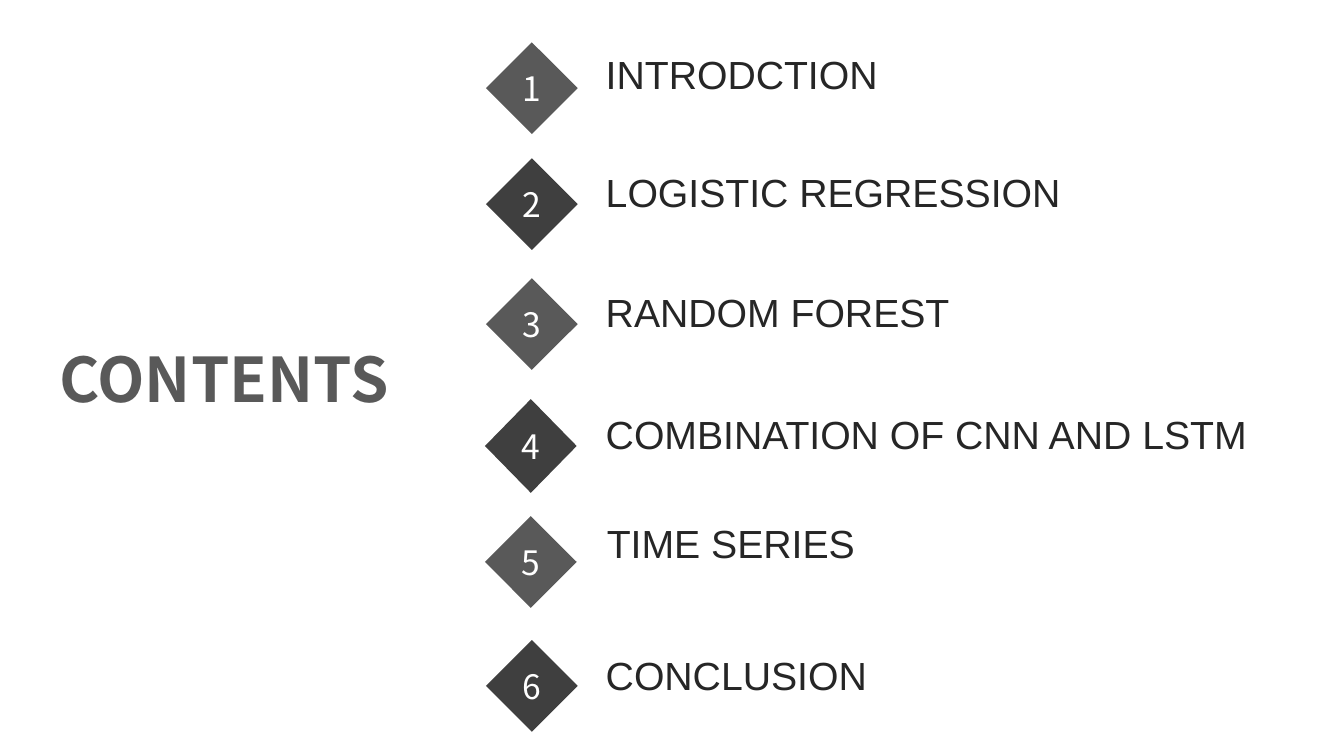
from pptx import Presentation, util as u
from pptx.dml.color import RGBColor
from pptx.enum import shapes, text

TOPICS = [
    ("INTRODCTION", 4.82, 0.42, 0.91, 5.91, 0.45, 3.03),
    ("LOGISTIC REGRESSION", 4.82, 1.57, 0.91, 5.91, 1.62, 4.76),
    ("RANDOM FOREST", 4.82, 2.76, 0.91, 5.91, 2.81, 3.8),
    ("COMBINATION OF CNN AND LSTM", 4.81, 3.96, 0.93, 5.91, 4.02, 6.67),
    ("TIME SERIES", 4.81, 5.12, 0.91, 5.92, 5.1, 3.03),
    ("CONCLUSION", 4.82, 6.35, 0.91, 5.91, 6.41, 4.76),
]


def colour(value):
    return RGBColor.from_string(value)


class ContentsPage:
    heading = {"name": "Noto Sans CJK SC", "size": u.Pt(44), "bold": True}
    number = {"name": "Noto Sans CJK SC", "size": u.Pt(24)}
    label = {"name": "Arial", "size": u.Pt(28)}
    grey, dark, ink, white = "595959", "3F3F3F", "262626", "FFFFFF"

    def __init__(self, deck):
        self.page = deck.slides.add_slide(deck.slide_layouts[5])
        fill = self.page.background.fill
        fill.solid()
        fill.fore_color.rgb = colour(self.white)

    def set_words(self, box, words, style, ink, align, anchor):
        frame = box.text_frame
        frame.word_wrap = True
        frame.vertical_anchor = anchor
        para = frame.paragraphs[0]
        para.alignment = align
        span = para.add_run()
        span.text = words
        for key, value in style.items():
            setattr(span.font, key, value)
        span.font.color.rgb = colour(ink)

    def add_title(self, words, left, top, width, height):
        box = self.page.shapes.title
        place = {"left": left, "top": top, "width": width, "height": height}
        for key, value in place.items():
            setattr(box, key, u.Inches(value))
        self.set_words(box, words, self.heading, self.grey,
                       text.PP_ALIGN.LEFT, text.MSO_ANCHOR.MIDDLE)

    def add_diamond(self, group, words, fill, *place):
        box = group.shapes.add_shape(shapes.MSO_SHAPE.DIAMOND, *map(u.Inches, place))
        box.shadow.inherit = False
        box.fill.solid()
        box.fill.fore_color.rgb = colour(fill)
        box.line.fill.background()
        self.set_words(box, words, self.number, self.white,
                       text.PP_ALIGN.CENTER, text.MSO_ANCHOR.MIDDLE)

    def add_label(self, group, words, *place):
        box = group.shapes.add_textbox(*map(u.Inches, place))
        self.set_words(box, words, self.label, self.ink,
                       text.PP_ALIGN.LEFT, text.MSO_ANCHOR.TOP)

    def add_topic(self, index, words, left, top, height, label_left, label_top, label_width):
        group = self.page.shapes.add_group_shape()
        fill = self.grey if index % 2 else self.dark
        self.add_diamond(group, str(index), fill, left, top, 0.91, height)
        self.add_label(group, words, label_left, label_top, label_width, 0.57)


def main():
    deck = Presentation()
    deck.slide_width, deck.slide_height = u.Inches(13.33), u.Inches(7.5)
    contents = ContentsPage(deck)
    contents.add_title("CONTENTS", 0.49, 3.33, 3.67, 0.84)
    for index, topic in enumerate(TOPICS, 1):
        contents.add_topic(index, *topic)
    deck.save("out.pptx")


if __name__ == "__main__":
    main()
